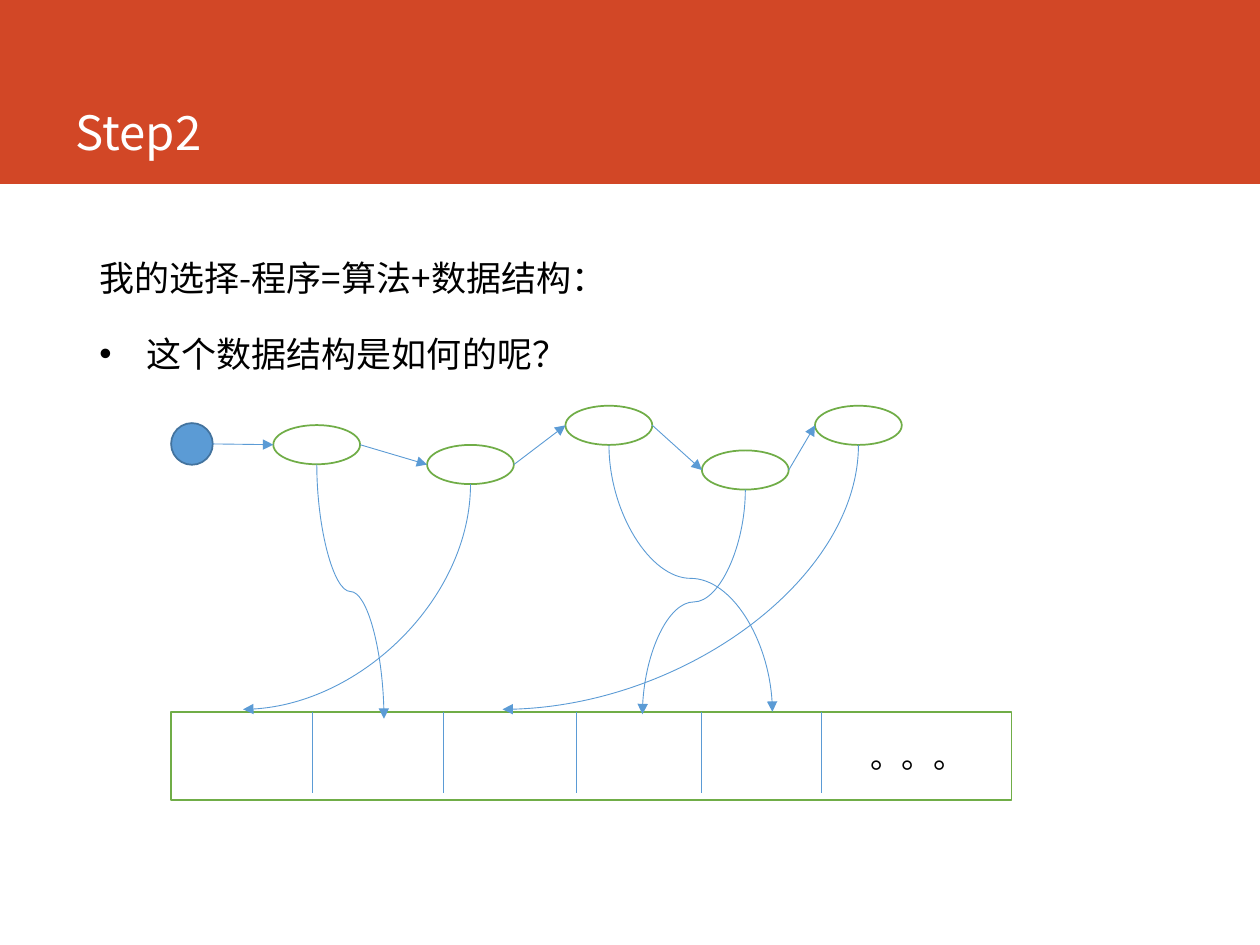
import pptx
import pptx.dml.color
import pptx.enum.shapes
import pptx.enum.text
import pptx.oxml.ns
import pptx.util
from lxml import etree

Cm, Pt = pptx.util.Cm, pptx.util.Pt
SHAPE = pptx.enum.shapes.MSO_SHAPE
CONNECTOR = pptx.enum.shapes.MSO_CONNECTOR
ALIGN = pptx.enum.text.PP_ALIGN
ANCHOR = pptx.enum.text.MSO_ANCHOR
qn = pptx.oxml.ns.qn

CJK = "Noto Sans CJK SC"
ORANGE, GREEN, BLUE, NAVY = "D24726", "70AD47", "5B9BD5", "43739E"
WHITE, BLACK = "FFFFFF", "000000"

TITLE = "Step2"
LINES = [("我的选择-程序=算法+数据结构：", None), ("这个数据结构是如何的呢？", "•")]
MORE = "。。。"
HEAD = (3.45, 8.53, 0.84, 0.84)
NODE_SIZE = (1.75, 0.79)
NODES = [
    {"at": (5.51, 8.57), "target": (7.74, 14.49), "curve": "curvedConnector3"},
    {"at": (8.61, 8.97), "target": (4.9, 14.3), "curve": "curvedConnector2"},
    {"at": (11.4, 8.18), "target": (15.57, 14.35), "curve": "curvedConnector3"},
    {"at": (14.15, 9.08), "target": (12.95, 14.4), "curve": "curvedConnector3"},
    {"at": (16.43, 8.18), "target": (10.13, 14.3), "curve": "curvedConnector2"},
]
ARRAY = (3.45, 14.35, 16.94, 1.78)
DIVIDERS = [6.3, 8.94, 11.63, 14.15, 16.56]
DIVIDER_HEIGHT = 1.63


def color(value):
    return pptx.dml.color.RGBColor.from_string(value)


def place(shape, box):
    shape.left, shape.top, shape.width, shape.height = map(Cm, box)


def add_box(slide, kind, box, fill, line=None):
    shape = slide.shapes.add_shape(kind, *map(Cm, box))
    shape.shadow.inherit = False
    shape.fill.solid()
    shape.fill.fore_color.rgb = color(fill)
    if line:
        shape.line.color.rgb = color(line)
        shape.line.width = Pt(1)
    else:
        shape.line.fill.background()
    return shape


def add_line(slide, start, end, arrow=True, kind=CONNECTOR.STRAIGHT):
    link = slide.shapes.add_connector(kind, *map(Cm, start + end))
    link.line.color.rgb = color(BLUE)
    link.line.width = Pt(0.5)
    if arrow:
        etree.SubElement(link.line._get_or_add_ln(), qn("a:tailEnd"), type="triangle")
    etree.SubElement(link._element.spPr, qn("a:effectLst"))
    return link


def add_curve(slide, start, end, preset):
    """Draw a curve that leaves its start downwards, as a turned connector."""
    (x1, y1), (x2, y2) = start, end
    link = add_line(slide, start, end, kind=CONNECTOR.CURVE)
    length, spread = y2 - y1, abs(x2 - x1)
    place(link, ((x1 + x2 - length) / 2, (y1 + y2 - spread) / 2, length, spread))
    properties = link._element.spPr
    properties.find(qn("a:prstGeom")).set("prst", preset)
    frame = properties.find(qn("a:xfrm"))
    frame.attrib.pop("flipH", None)
    if x2 > x1:
        frame.set("flipH", "1")
    frame.set("rot", str((270 if x2 > x1 else 90) * 60000))


def add_run(paragraph, text, size, font, fill):
    run = paragraph.add_run()
    run.text = text
    run.font.size = Pt(size)
    run.font.name = font
    run.font.color.rgb = color(fill)
    etree.SubElement(run.font._element, qn("a:ea"), typeface=font)


def write_title(slide):
    title = slide.shapes.title
    place(title, (1.27, 0, 22.4, 3.35))
    title.text_frame.vertical_anchor = ANCHOR.BOTTOM
    title.text_frame.auto_size = pptx.enum.text.MSO_AUTO_SIZE.NONE
    heading = title.text_frame.paragraphs[0]
    heading.alignment = ALIGN.LEFT
    add_run(heading, TITLE, 27, CJK, WHITE)


def write_lines(slide):
    body = slide.placeholders[1]
    place(body, (1.75, 4.62, 20.37, 12.09))
    frame = body.text_frame
    frame.auto_size = pptx.enum.text.MSO_AUTO_SIZE.NONE
    for index, (text, bullet) in enumerate(LINES):
        paragraph = frame.add_paragraph() if index else frame.paragraphs[0]
        properties = paragraph._p.get_or_add_pPr()
        indent = Cm(0.95) if bullet else 0
        properties.set("marL", str(indent))
        properties.set("indent", str(-indent))
        if bullet:
            etree.SubElement(properties, qn("a:buFont"), typeface="Arial")
            etree.SubElement(properties, qn("a:buChar"), char=bullet)
        else:
            etree.SubElement(properties, qn("a:buNone"))
        paragraph.line_spacing = 1.5
        paragraph.space_before = Pt(0)
        paragraph.space_after = Pt(7.5)
        add_run(paragraph, text, 20, CJK, BLACK)


def draw_array(slide):
    add_box(slide, SHAPE.FLOWCHART_PROCESS, ARRAY, WHITE, GREEN)
    top = ARRAY[1]
    for x in DIVIDERS:
        add_line(slide, (x, top), (x, top + DIVIDER_HEIGHT), arrow=False)
    more = slide.shapes.add_textbox(*map(Cm, (17.2, 14.73, 2.59, 1.02)))
    more.text_frame.word_wrap = True
    dots = more.text_frame.paragraphs[0]
    dots.alignment = ALIGN.CENTER
    add_run(dots, MORE, 18, "Karla", BLACK)


def draw_chain(slide):
    boxes = [HEAD] + [node["at"] + NODE_SIZE for node in NODES]
    add_box(slide, SHAPE.OVAL, HEAD, BLUE, NAVY)
    for box in boxes[1:]:
        add_box(slide, SHAPE.OVAL, box, WHITE, GREEN)
    for (x, y, w, h), (next_x, next_y, _, next_h) in zip(boxes, boxes[1:]):
        add_line(slide, (x + w, y + h / 2), (next_x, next_y + next_h / 2))
    for node, (x, y, w, h) in zip(NODES, boxes[1:]):
        add_curve(slide, (x + w / 2, y + h), node["target"], node["curve"])


def main():
    deck = pptx.Presentation()
    deck.slide_width, deck.slide_height = Cm(25.4), Cm(19.05)
    slide = deck.slides.add_slide(deck.slide_layouts[1])
    band = add_box(slide, SHAPE.RECTANGLE, (0, 0, 25.4, 3.71), ORANGE)
    slide.shapes._spTree.insert(2, band._element)
    write_title(slide)
    write_lines(slide)
    draw_array(slide)
    draw_chain(slide)
    deck.save("out.pptx")


if __name__ == "__main__":
    main()
